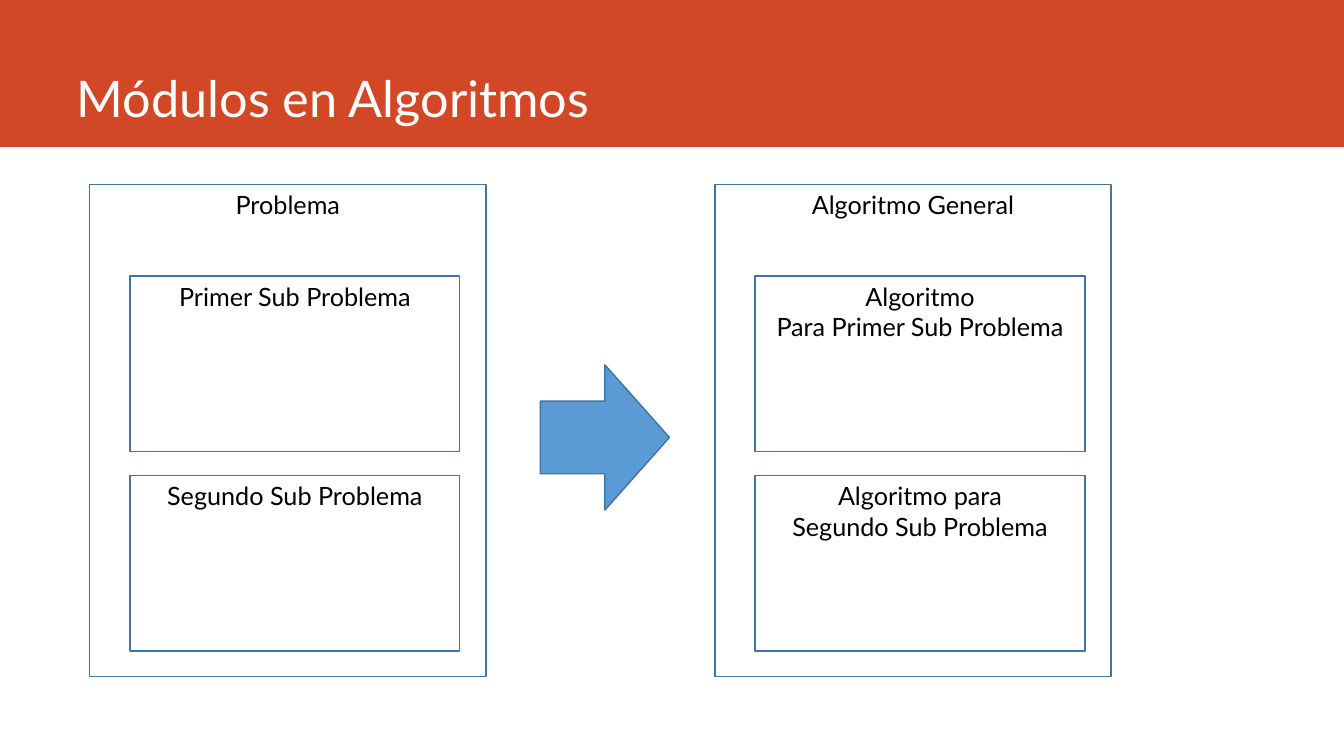
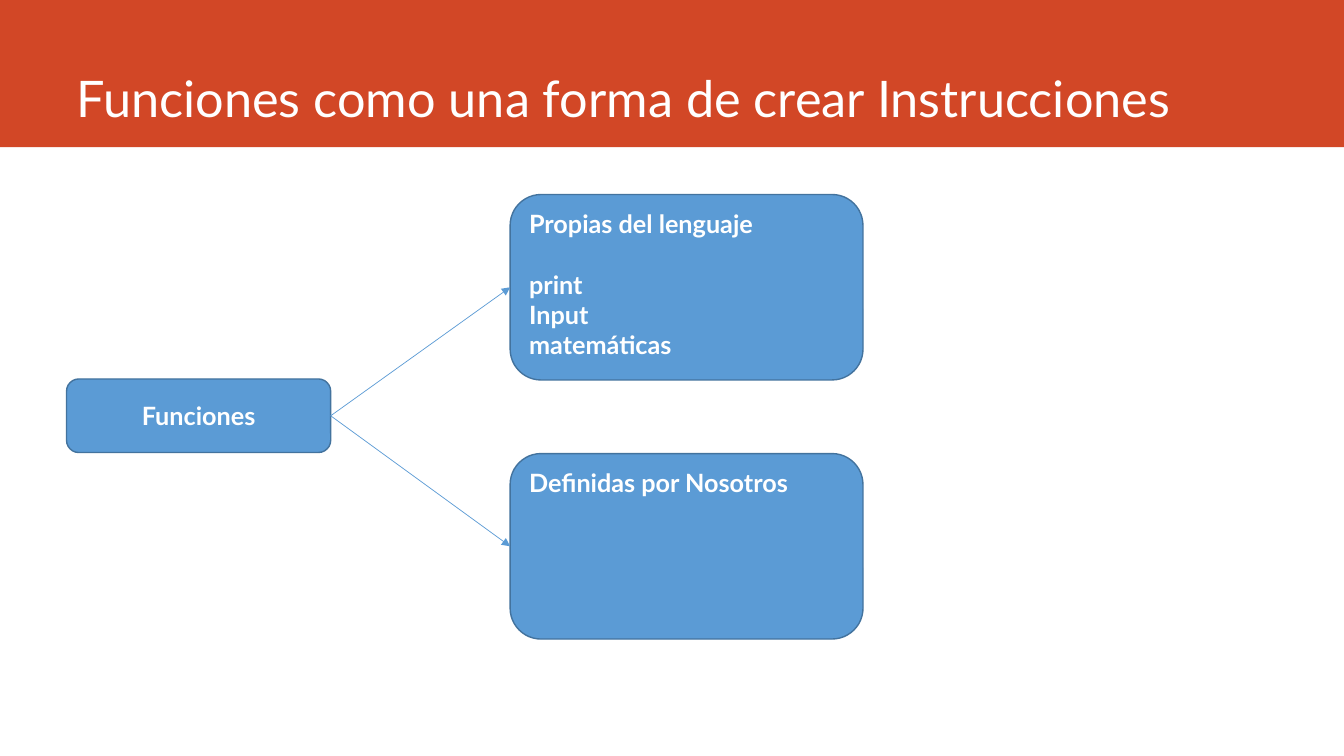
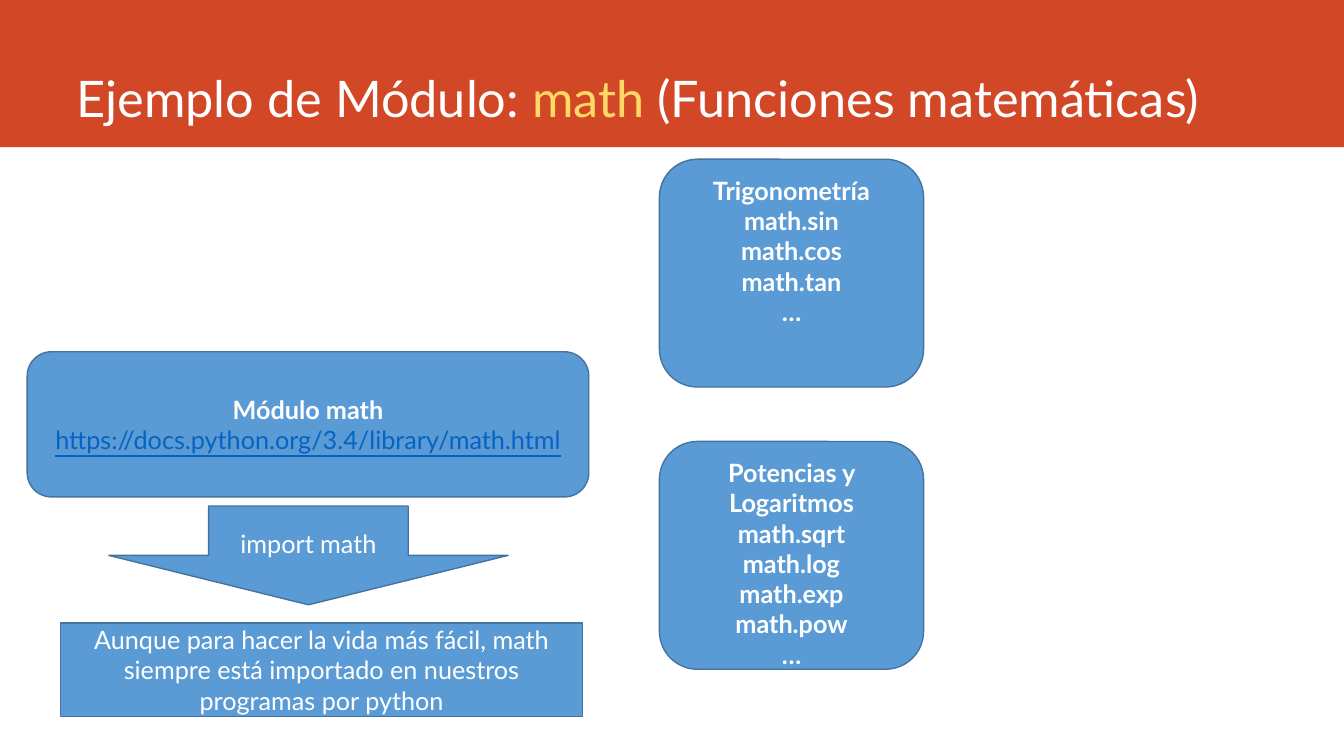
from dataclasses import dataclass

from lxml import etree
from pptx import Presentation
from pptx.dml.color import RGBColor
from pptx.enum.shapes import MSO_CONNECTOR, MSO_SHAPE
from pptx.enum.text import MSO_ANCHOR, MSO_AUTO_SIZE, PP_ALIGN
from pptx.oxml.ns import qn
from pptx.util import Inches, Pt

RECT = MSO_SHAPE.RECTANGLE
ROUNDED = MSO_SHAPE.ROUNDED_RECTANGLE
RIGHT_ARROW = MSO_SHAPE.RIGHT_ARROW
DOWN_ARROW = MSO_SHAPE.DOWN_ARROW
STRAIGHT = MSO_CONNECTOR.STRAIGHT
TOP, MIDDLE, BOTTOM = MSO_ANCHOR.TOP, MSO_ANCHOR.MIDDLE, MSO_ANCHOR.BOTTOM
LEFT, CENTER = PP_ALIGN.LEFT, PP_ALIGN.CENTER
FIXED_SIZE = MSO_AUTO_SIZE.NONE
TITLE_ONLY = 5
LEFT_SIDE, RIGHT_SIDE = 1, 3


@dataclass(frozen=True)
class Theme:
    font: str = "Lato"
    title_size: float = 36
    body_size: float = 18
    body_line: float = 21.6
    outline_width: float = 1
    link_width: float = 0.5
    band: str = "D24726"
    fill: str = "5B9BD5"
    outline: str = "43739E"
    light: str = "FFFFFF"
    dark: str = "000000"
    accent: str = "FFD966"
    address: str = "0563C1"


@dataclass(frozen=True)
class Span:
    text: str
    color: str = ""
    bold: bool = False
    underline: bool = False


THEME = Theme()


def rgb(value):
    return RGBColor.from_string(value)


def bold_lines(*lines):
    return [[Span(line, bold=True)] for line in lines]


def plain_lines(*lines):
    return [[Span(line)] for line in lines]


class Deck:
    """Holds the style and the page being drawn."""

    def __init__(self, theme):
        self.theme = theme
        self.file = Presentation()
        self.file.slide_width = Inches(13.33)
        self.file.slide_height = Inches(7.5)
        self.layout = self.file.slide_layouts[TITLE_ONLY]
        self.page = None

    def add_page(self, *title_spans):
        first = self.page is None
        self.page = self.file.slides.add_slide(self.layout)
        if first:
            self.add_band()
        title = self.page.shapes.title
        title.left, title.top = Inches(0.66), Inches(0)
        title.width, title.height = Inches(11.76), Inches(1.32)
        title.text_frame.auto_size = FIXED_SIZE
        self.add_text(title, [title_spans], self.theme.title_size,
                      self.theme.light, LEFT, BOTTOM)

    def add_band(self):
        """Draw the title band and move it to the layout all pages share."""
        band = self.add_box(RECT, 0, 0, 13.33, 1.46, fill=self.theme.band)
        band.line.fill.background()
        self.layout.shapes.element.insert(2, band.element)

    def add_text(self, box, paras, size, color, align, anchor):
        frame = box.text_frame
        frame.word_wrap = True
        frame.vertical_anchor = anchor
        for index, spans in enumerate(paras):
            para = frame.add_paragraph() if index else frame.paragraphs[0]
            para.alignment = align
            for span in spans:
                run = para.add_run()
                run.text = span.text
                run.font.name = self.theme.font
                run.font.size = Pt(size)
                run.font.bold = span.bold
                run.font.underline = span.underline
                run.font.color.rgb = rgb(span.color or color)

    def add_box(self, kind, left, top, width, height, paras=(), fill=None,
                color=None, align=CENTER, anchor=MIDDLE):
        box = self.page.shapes.add_shape(
            kind, Inches(left), Inches(top), Inches(width), Inches(height))
        box.shadow.inherit = False
        box.fill.solid()
        box.fill.fore_color.rgb = rgb(fill or self.theme.fill)
        box.line.color.rgb = rgb(self.theme.outline)
        box.line.width = Pt(self.theme.outline_width)
        self.add_text(box, paras, self.theme.body_size,
                      color or self.theme.light, align, anchor)
        return box

    def add_frame(self, left, top, width, height, paras):
        """Add an outlined box without fill, its text at the top."""
        box = self.add_box(RECT, left, top, width, height, paras,
                           color=self.theme.dark, anchor=TOP)
        box.fill.background()

    def add_arrow(self, source, target):
        """Join the right side of one box to the left side of another."""
        arrow = self.page.shapes.add_connector(STRAIGHT, 0, 0, 0, 0)
        arrow.begin_connect(source, RIGHT_SIDE)
        arrow.end_connect(target, LEFT_SIDE)
        arrow.line.color.rgb = rgb(self.theme.fill)
        arrow.line.width = Pt(self.theme.link_width)
        properties = arrow.element.spPr
        head = etree.SubElement(properties.find(qn("a:ln")), qn("a:tailEnd"))
        head.set("type", "triangle")
        etree.SubElement(properties, qn("a:effectLst"))


def build_modules(deck):
    deck.add_page(Span("Módulos en Algoritmos"))
    columns = [
        (0.89, "Problema", ["Primer Sub Problema"], ["Segundo Sub Problema"]),
        (7.09, "Algoritmo General",
         ["Algoritmo", "Para Primer Sub Problema"],
         ["Algoritmo para", "Segundo Sub Problema"]),
    ]
    for left, heading, *parts in columns:
        deck.add_frame(left, 1.83, 3.93, 4.88, plain_lines(heading))
        for row, lines in enumerate(parts):
            deck.add_frame(left + 0.4, 2.74 + 1.98 * row, 3.27, 1.74,
                           plain_lines(*lines))
    deck.add_box(RIGHT_ARROW, 5.36, 3.62, 1.28, 1.44)


def build_functions(deck):
    deck.add_page(Span("Funciones como una forma de crear Instrucciones"))
    functions = deck.add_box(ROUNDED, 0.66, 3.76, 2.62, 0.73,
                             bold_lines("Funciones"))
    groups = [
        ["Propias del lenguaje", "print", "Input", "matemáticas"],
        ["Definidas por Nosotros"],
    ]
    for row, lines in enumerate(groups):
        group = deck.add_box(ROUNDED, 5.06, 1.93 + 2.57 * row, 3.5, 1.84,
                             bold_lines(*lines), align=LEFT, anchor=TOP)
        # One line of space between the heading and its list
        group.text_frame.paragraphs[0].space_after = Pt(deck.theme.body_line)
        deck.add_arrow(functions, group)


def build_math(deck):
    deck.add_page(Span("Ejemplo de Módulo: "),
                  Span("math", deck.theme.accent),
                  Span(" (Funciones matemáticas)"))
    # Module, import and remark
    address = Span("https://docs.python.org/3.4/library/math.html",
                   deck.theme.address, underline=True)
    deck.add_box(ROUNDED, 0.27, 3.49, 5.57, 1.44,
                 bold_lines("Módulo math") + [[address]])
    deck.add_box(DOWN_ARROW, 1.08, 5.02, 3.96, 0.98,
                 plain_lines("import math"))
    deck.add_box(RECT, 0.6, 6.18, 5.18, 0.93, plain_lines(
        "Aunque para hacer la vida más fácil, math siempre está importado "
        "en nuestros programas por python"))
    # Families of functions
    families = [
        ["Trigonometría", "math.sin", "math.cos", "math.tan", "…"],
        ["Potencias y Logaritmos", "math.sqrt", "math.log", "math.exp",
         "math.pow", "…"],
    ]
    for row, lines in enumerate(families):
        deck.add_box(ROUNDED, 6.54, 1.58 + 2.8 * row, 2.62, 2.26,
                     bold_lines(*lines), anchor=TOP)


def main():
    deck = Deck(THEME)
    build_modules(deck)
    build_functions(deck)
    build_math(deck)
    deck.file.save("out.pptx")


if __name__ == "__main__":
    main()
